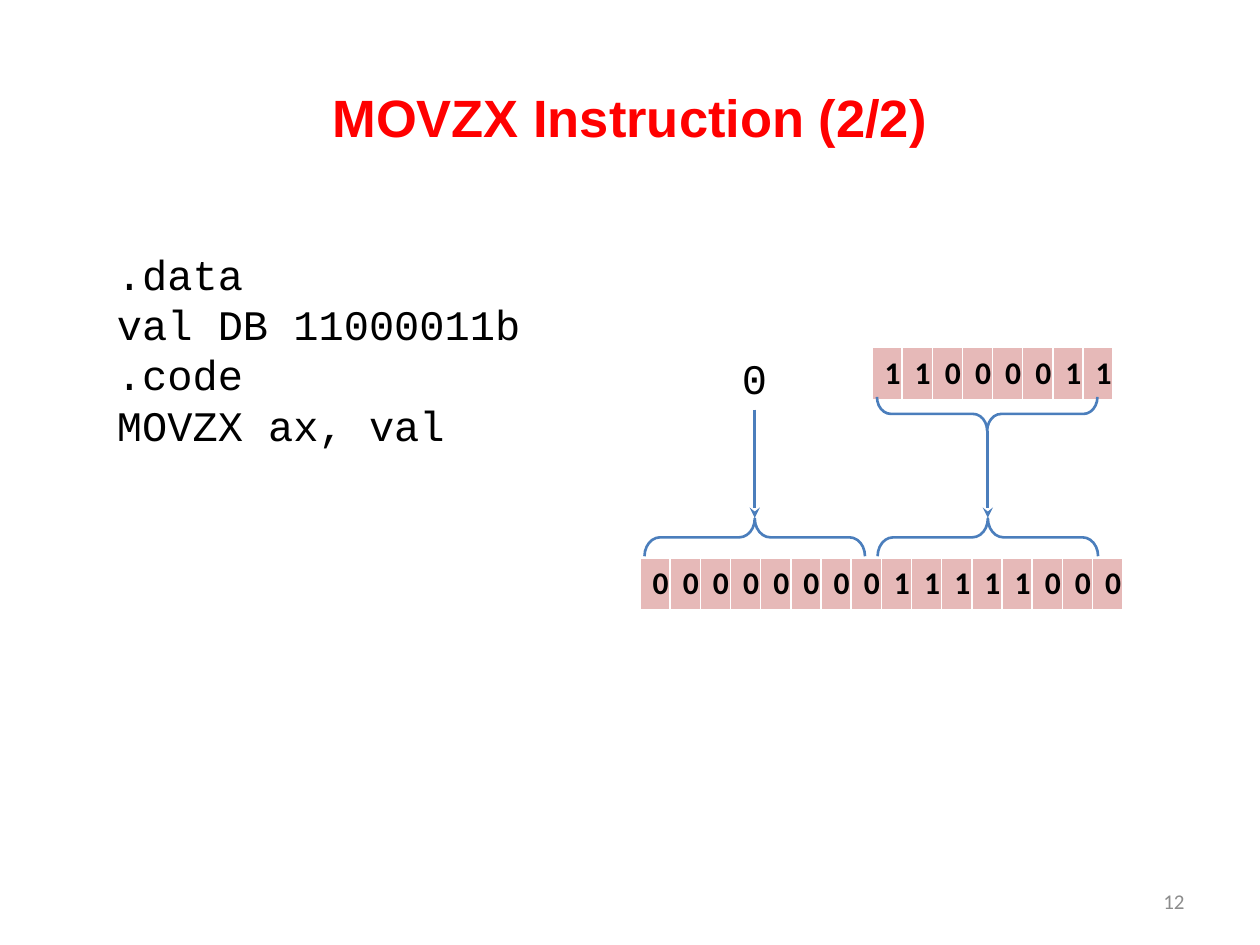
from lxml.etree import SubElement
from pptx import Presentation
from pptx.dml.color import RGBColor
from pptx.enum.shapes import MSO_CONNECTOR, MSO_SHAPE
from pptx.enum.text import MSO_ANCHOR, MSO_AUTO_SIZE, PP_ALIGN
from pptx.oxml.ns import qn
from pptx.util import Pt

PX = 9144  # EMU per px, 100 px to the inch
COLORS = {"title": "FF0000", "text": "000000", "line": "4B7EBC",
          "cell": "E6B9B8", "number": "8C8C8C"}
BIT_WIDTH, BIT_HEIGHT = 23, 41


def px(*lengths):
    return [n * PX for n in lengths]


def rgb(name):
    return RGBColor.from_string(COLORS[name])


class SlideBuilder:
    def __init__(self, slide):
        self.slide = slide
        self.shapes = slide.shapes

    def style(self, p, font, size, color, bold=False, align=None):
        p.alignment = align
        p.font.name, p.font.size, p.font.bold = font, Pt(size), bold
        p.font.color.rgb = rgb(color)

    def outline(self, shape):
        shape.line.color.rgb = rgb("line")
        shape.line.width = Pt(1.5)

    def title(self, text, *box):
        s = self.shapes.title
        s.left, s.top, s.width, s.height = px(*box)
        tf = s.text_frame
        tf.text = text
        tf.vertical_anchor = MSO_ANCHOR.MIDDLE
        self.style(tf.paragraphs[0], "Arial", 30, "title", True, PP_ALIGN.CENTER)

    def code(self, lines, *box):
        tf = self.shapes.add_textbox(*px(*box)).text_frame
        tf.word_wrap = False
        tf.auto_size = MSO_AUTO_SIZE.SHAPE_TO_FIT_TEXT
        tf.text = "\n".join(lines)
        for p in tf.paragraphs:
            self.style(p, "Courier New", 24, "text")

    def page_number(self, text, *box):
        tf = self.shapes.add_textbox(*px(*box)).text_frame
        tf.word_wrap = True
        tf.vertical_anchor = MSO_ANCHOR.MIDDLE
        tf.text = text
        self.style(tf.paragraphs[0], "Calibri", 12, "number", align=PP_ALIGN.RIGHT)

    def bits(self, digits, left, top):
        """Draw a register as a one-row table, one bit per cell."""
        box = px(left, top, BIT_WIDTH * len(digits), BIT_HEIGHT)
        table = self.shapes.add_table(1, len(digits), *box).table
        for column, cell, digit in zip(table.columns, table.rows[0].cells, digits):
            column.width = BIT_WIDTH * PX
            cell.text = digit
            cell.fill.solid()
            cell.fill.fore_color.rgb = rgb("cell")
            self.style(cell.text_frame.paragraphs[0], "Calibri", 18, "text",
                       True, PP_ALIGN.CENTER)

    def brace(self, rotation, *box):
        s = self.shapes.add_shape(MSO_SHAPE.LEFT_BRACE, *px(*box))
        s.rotation = rotation
        s.adjustments[0] = 0.41
        s.shadow.inherit = False
        s.fill.background()
        self.outline(s)

    def down_arrow(self, x, top, bottom):
        s = self.shapes.add_connector(MSO_CONNECTOR.STRAIGHT, *px(x, top, x, bottom))
        self.outline(s)
        SubElement(s.line._get_or_add_ln(), qn("a:tailEnd"), type="stealth")
        SubElement(s._element.spPr, qn("a:effectLst"))


def main():
    prs = Presentation()
    prs.slide_width, prs.slide_height = px(1000, 750)
    b = SlideBuilder(prs.slides.add_slide(prs.slide_layouts[5]))

    b.title("MOVZX Instruction (2/2)", 50, 30, 900, 125)
    b.page_number("12", 717, 695, 233, 40)
    b.code([".data", "val DB 11000011b", ".code", "MOVZX ax, val"], 83, 192, 343, 172)

    b.bits("0000000011111000", 508, 443)
    b.bits("11000011", 692, 276)
    b.code(["0"], 579, 275, 40, 50)

    b.brace(270, 770, 241, 27, 175)
    for center, arrow_top in ((599, 325), (784, 342)):
        b.brace(90, center - 15, 339, 30, 175)
        b.down_arrow(center, arrow_top, 411)

    prs.save("out.pptx")


if __name__ == "__main__":
    main()
